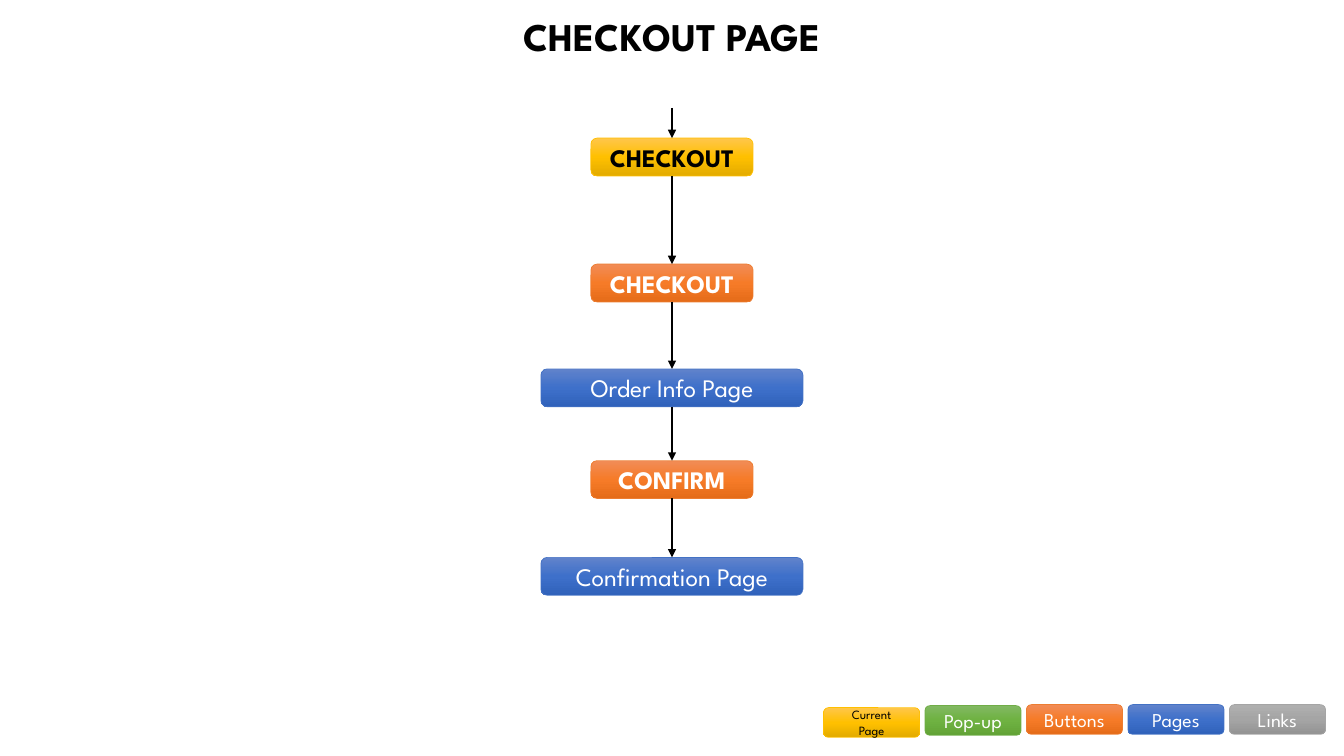
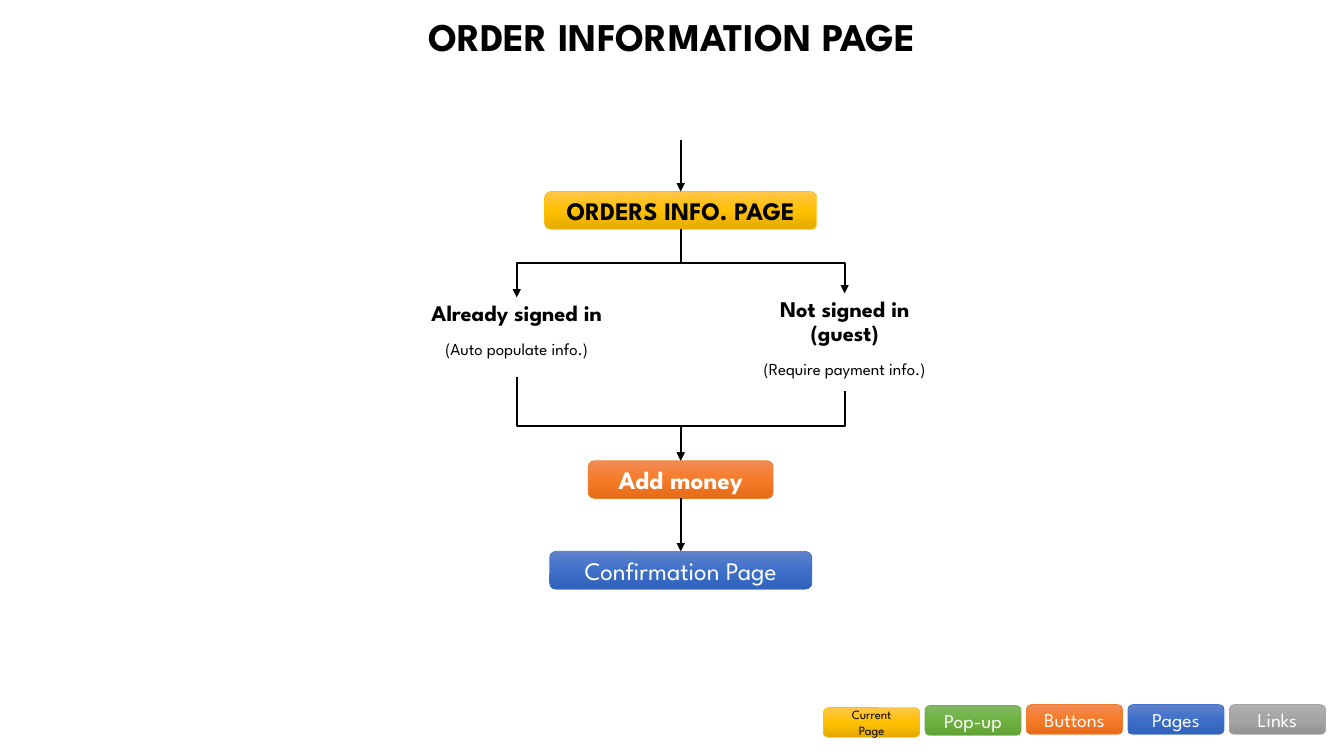
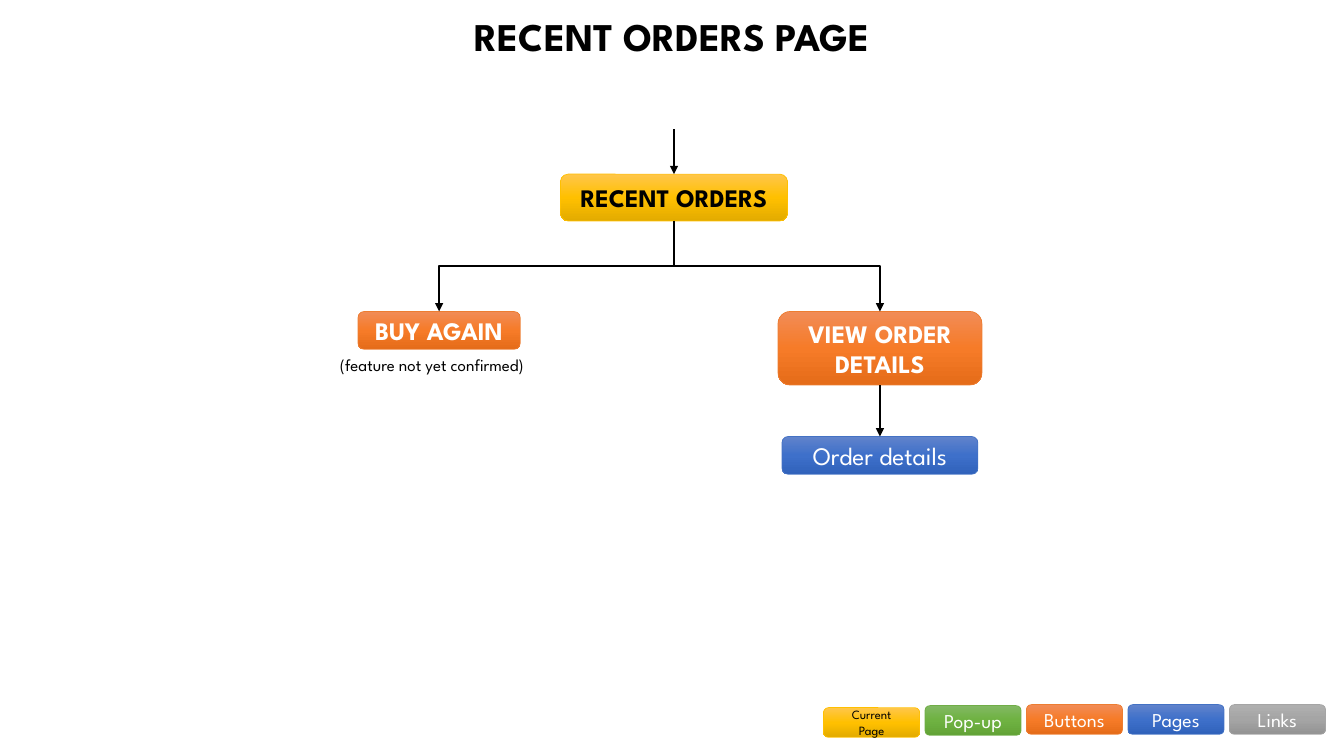
"""Three page-flow slides: checkout, order information and recent orders."""
from copy import deepcopy
from dataclasses import dataclass

from pptx import Presentation
from pptx import util as u
from pptx.dml.color import RGBColor
from pptx.enum import shapes, text
from pptx.oxml import ns, xmlchemy


@dataclass(frozen=True)
class Kind:
    """Look of one kind of flow box: gradient, outline and lettering."""
    stops: tuple
    outline: str
    ink: str = "FFFFFF"
    bold: bool = False


class Theme:
    """Colours, type sizes and grid shared by all slides."""
    font = "League Spartan"
    black = "000000"
    title, node, branch, legend, note, small = 28, 18, 16, 14, 12, 9
    columns, rows = 40, 30
    width, height = u.Inches(40 / 3), u.Inches(7.5)
    box_rows = 1.5
    current = Kind(("FFC64B", "FFC000", "E3AB00"), "FFC000", black, True)
    popup = Kind(("81B861", "6FB242", "62A336"), "70AD47")
    button = Kind(("F18C57", "F67B28", "E56C19"), "ED7D31", bold=True)
    target = Kind(("6183CB", "3E70CA", "3062BB"), "4472C4")
    link = Kind(("AFAFAF", "A5A5A5", "939393"), "A5A5A5")


# Label, kind, type size and top row of each legend entry
LEGEND = (
    ("Current\nPage", Theme.current, Theme.small, 28.08),
    ("Pop-up", Theme.popup, Theme.legend, 28),
    ("Buttons", Theme.button, Theme.legend, 27.96),
    ("Pages", Theme.target, Theme.legend, 27.96),
    ("Links", Theme.link, Theme.legend, 27.96),
)


def across(columns):
    """Turn grid columns into a length."""
    return u.Emu(round(Theme.width * columns / Theme.columns))


def down(rows):
    """Turn grid rows into a length."""
    return u.Emu(round(Theme.height * rows / Theme.rows))


def frame(centre, top, width, height):
    """Return left, top, width and height for a box centred on a column."""
    return across(centre - width / 2), down(top), across(width), down(height)


def set_type(para, size, ink, bold):
    """Centre a paragraph and set its font."""
    para.alignment = text.PP_ALIGN.CENTER
    para.font.name = Theme.font
    para.font.size = u.Pt(size)
    para.font.bold = bold
    para.font.color.rgb = RGBColor.from_string(ink)


def add_text(page, place, *lines):
    """Add a text box; each line is (wording, size, bold)."""
    box = page.shapes.add_textbox(*place)
    box.text_frame.word_wrap = True
    box.text_frame.text = "\n".join(wording for wording, _, _ in lines)
    for para, (_, size, bold) in zip(box.text_frame.paragraphs, lines):
        set_type(para, size, Theme.black, bold)
        para.line_spacing = 0.9
        para.space_before = u.Pt(10)


def paint(box, kind):
    """Give a box its three-stop vertical gradient and outline."""
    box.shadow.inherit = False
    box.fill.gradient()
    box.fill.gradient_angle = 270
    last = box.element.spPr.findall(".//" + ns.qn("a:gs"))[-1]
    last.addprevious(deepcopy(last))
    for stop, position, colour in zip(box.fill.gradient_stops, (0, 0.5, 1), kind.stops):
        stop.position = position
        stop.color.rgb = RGBColor.from_string(colour)
    box.line.color.rgb = RGBColor.from_string(kind.outline)
    box.line.width = u.Pt(0.5)


def add_node(page, label, kind, centre, top, width,
             height=Theme.box_rows, size=Theme.node, bold=None):
    """Add a rounded flow box and return it."""
    box = page.shapes.add_shape(shapes.MSO_SHAPE.ROUNDED_RECTANGLE,
                                *frame(centre, top, width, height))
    paint(box, kind)
    box.text_frame.word_wrap = True
    box.text_frame.vertical_anchor = text.MSO_ANCHOR.MIDDLE
    box.text_frame.text = label
    for para in box.text_frame.paragraphs:
        set_type(para, size, kind.ink, kind.bold if bold is None else bold)
    return box


def point(column, row):
    """Return a grid point."""
    return across(column), down(row)


def head(box):
    """Return the middle of a box's top edge."""
    return box.left + box.width // 2, box.top


def foot(box):
    """Return the middle of a box's bottom edge."""
    return box.left + box.width // 2, box.top + box.height


def style_arrow(arrow):
    """Make a connector a black line with a triangle at its end."""
    arrow.line.color.rgb = RGBColor.from_string(Theme.black)
    arrow.line.width = u.Pt(1.5)
    tip = xmlchemy.OxmlElement("a:tailEnd")
    tip.set("type", "triangle")
    arrow.line._get_or_add_ln().append(tip)
    arrow.element.spPr.append(xmlchemy.OxmlElement("a:effectLst"))


def add_arrow(page, start, end):
    """Add a straight arrow between two points."""
    style_arrow(page.shapes.add_connector(shapes.MSO_CONNECTOR.STRAIGHT, *start, *end))


def add_elbow(page, start, end, bend=None):
    """Add an arrow that goes down, across at row bend (default halfway), and down."""
    (x0, y0), (x1, y1) = start, end
    middle_x, middle_y = (x0 + x1) // 2, (y0 + y1) // 2
    half_drop, half_span = (y1 - y0) // 2, abs(x1 - x0) // 2
    rightward = x1 > x0
    # A quarter turn makes the sideways elbow leave downwards
    lead = half_drop if rightward else -half_drop
    arrow = page.shapes.add_connector(
        shapes.MSO_CONNECTOR.ELBOW,
        middle_x + lead, middle_y - half_span,
        middle_x - lead, middle_y + half_span)
    properties = arrow.element.spPr
    properties.find(ns.qn("a:xfrm")).set("rot", str((270 if rightward else 90) * 60000))
    if bend is not None:
        guide = xmlchemy.OxmlElement("a:gd")
        guide.set("name", "adj1")
        guide.set("fmla", f"val {round(100000 * (down(bend) - y0) / (y1 - y0))}")
        properties.find(".//" + ns.qn("a:avLst")).append(guide)
    style_arrow(arrow)


def add_page(deck, title):
    """Add a blank slide with the shared title and legend."""
    page = deck.slides.add_slide(deck.slide_layouts[6])
    add_text(page, frame(Theme.columns / 2, 0.52, Theme.columns, 2.24),
             (title, Theme.title, True))
    for index, (label, kind, size, top) in enumerate(LEGEND):
        add_node(page, label, kind, 25.94 + 3.02 * index, top, 2.86, 1.18, size, False)
    return page


def build_checkout(deck):
    """Draw the straight checkout flow."""
    page = add_page(deck, "CHECKOUT PAGE")
    axis, narrow, wide = 20, 4.83, 7.8
    steps = (
        ("CHECKOUT", Theme.current, 5.48, narrow),
        ("CHECKOUT", Theme.button, 10.48, narrow),
        ("Order Info Page", Theme.target, 14.64, wide),
        ("CONFIRM", Theme.button, 18.28, narrow),
        ("Confirmation Page", Theme.target, 22.12, wide),
    )
    start = point(axis, 4.28)
    for label, kind, top, width in steps:
        box = add_node(page, label, kind, axis, top, width)
        add_arrow(page, start, head(box))
        start = foot(box)


def build_order_information(deck):
    """Draw the signed-in and guest branches that join again."""
    page = add_page(deck, "ORDER INFORMATION PAGE")
    axis, offset = 20.26, 4.88
    orders = add_node(page, "ORDERS INFO. PAGE", Theme.current, axis, 7.6, 8.1)
    money = add_node(page, "Add money", Theme.button, axis, 18.28, 5.5)
    confirmation = add_node(page, "Confirmation Page", Theme.target, axis, 21.88, 7.8)
    add_arrow(page, point(axis, 5.56), head(orders))
    add_arrow(page, foot(money), head(confirmation))
    branches = (
        (axis - offset, 11.8, 3.16, "Already signed in", "(Auto populate info.)"),
        (axis + offset, 11.64, 3.88, "Not signed in (guest)", "(Require payment info.)"),
    )
    for centre, top, height, heading, note in branches:
        add_text(page, frame(centre, top, 6.5, height),
                 (heading, Theme.branch, True), (note, Theme.note, False))
        add_elbow(page, foot(orders), point(centre, top), 10.44)
        add_elbow(page, point(centre, top + height), head(money), 16.92)


def build_recent_orders(deck):
    """Draw the two actions that start from recent orders."""
    page = add_page(deck, "RECENT ORDERS PAGE")
    axis, right, action_top = 20.06, 26.19, 12.36
    recent = add_node(page, "RECENT ORDERS", Theme.current, axis, 6.91, 6.76, 1.86)
    again = add_node(page, "BUY AGAIN", Theme.button, 13.07, action_top, 4.83)
    view = add_node(page, "VIEW ORDER DETAILS", Theme.button, right, action_top, 6.07, 2.92)
    details = add_node(page, "Order details", Theme.target, right, 17.32, 5.83)
    add_text(page, frame(12.86, 13.96, 7.29, 1.8),
             ("(feature not yet confirmed)", Theme.note, False))
    add_arrow(page, point(axis, 5.12), head(recent))
    for action in (again, view):
        add_elbow(page, foot(recent), head(action))
    add_arrow(page, foot(view), head(details))


def main():
    """Build and save the deck."""
    deck = Presentation()
    deck.slide_width, deck.slide_height = Theme.width, Theme.height
    build_checkout(deck)
    build_order_information(deck)
    build_recent_orders(deck)
    deck.save("out.pptx")


main()
